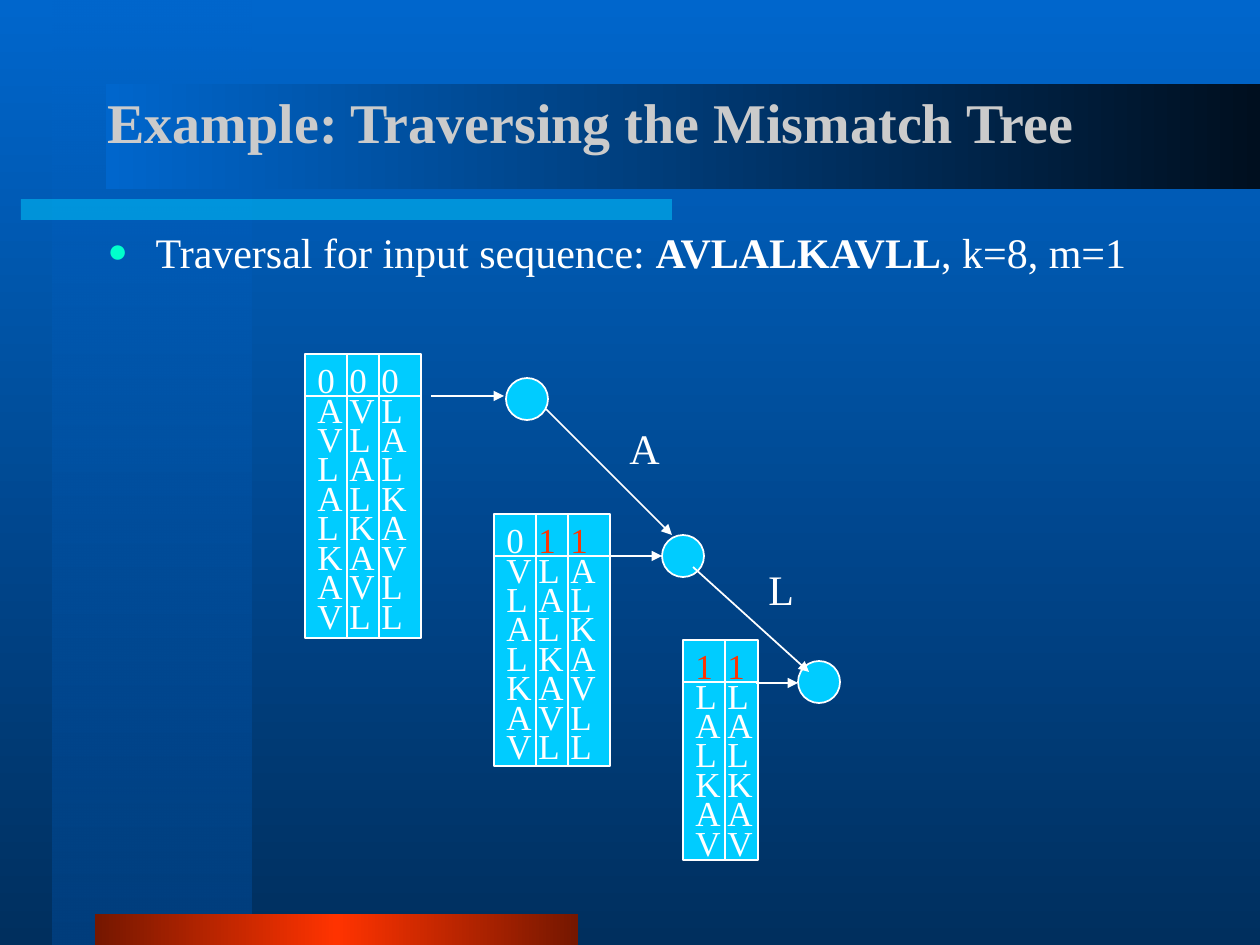
from dataclasses import dataclass
from lxml.etree import SubElement
from pptx import Presentation
from pptx.dml.color import RGBColor
from pptx.enum.shapes import MSO_CONNECTOR, MSO_SHAPE
from pptx.enum.text import MSO_ANCHOR, MSO_AUTO_SIZE, PP_ALIGN
from pptx.oxml.ns import qn
from pptx.util import Pt

SCALE = 914400 / 126  # EMU in one px


@dataclass(frozen=True)
class Theme:
    font: str = "Times New Roman"
    head: str = "CBCBCB"
    white: str = "FFFFFF"
    cyan: str = "00CCFF"
    red: str = "FF3300"
    mint: str = "00FFCC"
    blue: str = "0066CC"
    mid: str = "003E7D"
    deep: str = "002F5E"
    night: str = "000F1F"
    rust: str = "751700"
    title: int = 32
    body: int = 24
    cell: int = 20
    line: int = 1


T = Theme()


def px(*nums):
    return [round(n * SCALE) for n in nums]


def add(node, tag, **attrs):
    return SubElement(node, qn(tag), {k: str(v) for k, v in attrs.items()})


def style(run, size, color=T.white, bold=False):
    font = run.font
    font.name, font.size, font.bold = T.font, Pt(size), bold
    font.color.rgb = RGBColor.from_string(color)


def blend(fill, root, angle, *stops):
    """Gradient from stops of (percent, colour, opacity); clockwise angle."""
    fill.gradient()
    fill.gradient_angle = 360 - angle
    row = root.find(".//" + qn("a:gsLst"))
    row.clear()
    for pos, color, alpha in stops:
        tint = add(add(row, "a:gs", pos=pos * 1000), "a:srgbClr", val=color)
        if alpha < 100:
            add(tint, "a:alpha", val=alpha * 1000)


def shape(slide, kind, box, color=None, edge=None):
    item = slide.shapes.add_shape(kind, *px(*box))
    item.shadow.inherit = False
    if color:
        item.fill.solid()
        item.fill.fore_color.rgb = RGBColor.from_string(color)
    if edge:
        item.line.color.rgb = RGBColor.from_string(edge)
        item.line.width = Pt(T.line)
    else:
        item.line.fill.background()
    return item


def line(slide, start, end, arrow=False):
    item = slide.shapes.add_connector(MSO_CONNECTOR.STRAIGHT, *px(*start, *end))
    item.line.color.rgb = RGBColor.from_string(T.white)
    item.line.width = Pt(T.line)
    props = item.element.spPr
    if arrow:
        add(props.find(qn("a:ln")), "a:tailEnd", type="triangle")
    add(props, "a:effectLst")


def text(slide, box, words, size, wrap=True):
    frame = slide.shapes.add_textbox(*px(*box)).text_frame
    frame.word_wrap = wrap
    frame.auto_size = MSO_AUTO_SIZE.SHAPE_TO_FIT_TEXT
    frame.text = words
    for para in frame.paragraphs:
        style(para.runs[0], size)
    return frame


def place(item, box):
    item.left, item.top, item.width, item.height = px(*box)
    item.text_frame.auto_size = MSO_AUTO_SIZE.NONE
    return item.text_frame


def decor(slide):
    """Background and the four coloured bars."""
    back = slide.background.fill
    blend(back, slide.element, 90, (0, T.blue, 100), (100, T.deep, 100))
    side = shape(slide, MSO_SHAPE.RECTANGLE, (53, 0, 199, 945))
    blend(side.fill, side.element, 90, (0, T.blue, 50), (100, T.mid, 100))
    rule = shape(slide, MSO_SHAPE.RECTANGLE, (21, 199, 651, 21), T.cyan)
    tint = rule.element.spPr.find(qn("a:solidFill"))[0]
    add(tint, "a:alpha", val=50000)
    foot = shape(slide, MSO_SHAPE.RECTANGLE, (95, 914, 483, 31))
    blend(foot.fill, foot.element, 180,
          (0, T.rust, 100), (50, T.red, 100), (100, T.rust, 100))
    band = shape(slide, MSO_SHAPE.RECTANGLE, (106, 84, 1154, 105))
    blend(band.fill, band.element, 180, (0, T.night, 100), (100, T.blue, 100))


def heading(slide, box):
    frame = place(slide.shapes.title, box)
    frame.text = "Example: Traversing the Mismatch Tree"
    frame.vertical_anchor = MSO_ANCHOR.MIDDLE
    para = frame.paragraphs[0]
    para.alignment = PP_ALIGN.LEFT
    style(para.runs[0], T.title, T.head, True)


def bullets(slide, box):
    para = place(slide.placeholders[1], box).paragraphs[0]
    para.space_before = Pt(0)
    props = para._p.get_or_add_pPr()
    hang, = px(48)
    props.set("marL", str(hang))
    props.set("indent", str(-hang))
    add(add(props, "a:buClr"), "a:srgbClr", val=T.mint)
    add(props, "a:buSzPct", val=80000)
    add(props, "a:buFont", typeface=T.font)
    add(props, "a:buChar", char="●")
    for words, bold in (("Traversal for input sequence: ", False),
                        ("AVLALKAVLL", True), (", k=8, m=1", False)):
        run = para.add_run()
        run.text = words
        style(run, T.body, bold=bold)


def window(slide, x, y, wide, cols):
    """Box of letter columns, each headed by its mismatch count."""
    rows, step, head = len(cols[0]), 32, 42
    tall = rows * step - 4
    shape(slide, MSO_SHAPE.RECTANGLE, (x, y, wide, tall), T.cyan, T.white)
    for i, col in enumerate(cols):
        box = (x + i * step, y + 10, 50, rows * 29 + 16)
        frame = text(slide, box, "\n".join(col), T.cell)
        for para in frame.paragraphs:
            para.line_spacing = 0.7
        if col[0] == "1":
            style(frame.paragraphs[0].runs[0], T.cell, T.red)
    line(slide, (x, y + head), (x + wide, y + head))
    for i in range(len(cols) - 1):
        cut = x + head + i * step
        line(slide, (cut, y), (cut, y + tall))


def tree(slide, x, y):
    """Three windows, their nodes and the labelled edges between them."""
    window(slide, x, y, 116, ("0AVLALKAV", "0VLALKAVL", "0LALKAVLL"))
    window(slide, x + 189, y + 160, 116, ("0VLALKAV", "1LALKAVL", "1ALKAVLL"))
    window(slide, x + 378, y + 286, 75, ("1LALKAV", "1LALKAV"))
    # Nodes
    for dx, dy in ((201, 24), (357, 181), (493, 307)):
        shape(slide, MSO_SHAPE.OVAL, (x + dx, y + dy, 42, 42), T.cyan, T.white)
    # Edges down the tree, then arrows from window to node
    for ax, ay, bx, by in ((241, 55, 367, 181), (388, 213, 504, 318),
                           (126, 42, 199, 42), (305, 202, 357, 202),
                           (451, 329, 493, 329)):
        line(slide, (x + ax, y + ay), (x + bx, y + by), arrow=True)
    for name, dx, dy, wide in (("A", 312, 62, 55), ("L", 451, 203, 50)):
        text(slide, (x + dx, y + dy, wide, 63), name, T.body, wrap=False)


def main():
    deck = Presentation()
    deck.slide_width, deck.slide_height = px(1260, 945)
    slide = deck.slides.add_slide(deck.slide_layouts[1])
    decor(slide)
    # Bring title and body in front of the bars
    for item in list(slide.placeholders):
        item.element.getparent().append(item.element)
    heading(slide, (95, 63, 1071, 116))
    bullets(slide, (95, 220, 1071, 620))
    tree(slide, 305, 354)
    deck.save("out.pptx")


if __name__ == "__main__":
    main()
